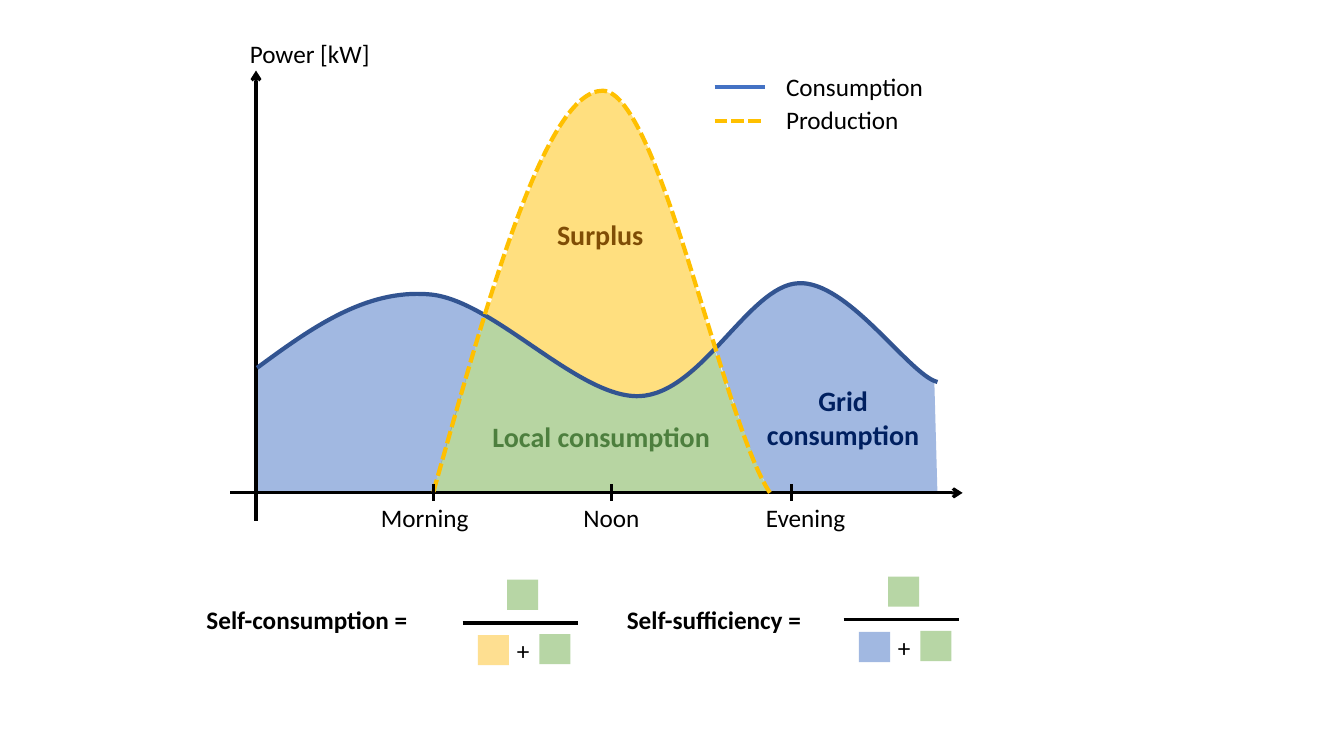
from dataclasses import dataclass

from lxml.etree import SubElement
from pptx import Presentation
from pptx.dml.color import RGBColor
from pptx.enum.dml import MSO_LINE_DASH_STYLE as Dash
from pptx.enum.shapes import MSO_CONNECTOR as Conn, MSO_SHAPE as Shape
from pptx.enum.text import MSO_ANCHOR as Anchor, PP_ALIGN as Align
from pptx.oxml.ns import qn
from pptx.util import Inches, Pt

# Grid: 13 1/3 columns by 7.5 rows, one inch each
COLS, ROWS = 40 / 3, 7.5
CELL = Inches(1)
STEPS = 24
FONT = "Calibri"

BLACK = RGBColor(0x00, 0x00, 0x00)
BLUE = RGBColor(0x44, 0x72, 0xC4)
DARK_BLUE = RGBColor(0x32, 0x54, 0x91)
NAVY = RGBColor(0x00, 0x20, 0x60)
GREEN = RGBColor(0x70, 0xAD, 0x47)
DARK_GREEN = RGBColor(0x4D, 0x7F, 0x3E)
GOLD = RGBColor(0xFF, 0xC0, 0x00)
BROWN = RGBColor(0x7F, 0x4D, 0x05)
PALE_GOLD = RGBColor(0xFE, 0xDF, 0x91)
PALE_GREEN = RGBColor(0xB7, 0xD6, 0xA5)
PALE_BLUE = RGBColor(0xA1, 0xB8, 0xE1)

Point = tuple[float, float]


@dataclass(frozen=True)
class Path:
    """Each segment holds one point (straight) or three (Bézier)."""
    start: Point
    segments: tuple[tuple[Point, ...], ...]
    color: RGBColor
    dash: bool = False


@dataclass(frozen=True)
class Line:
    start: Point
    end: Point
    color: RGBColor = BLACK
    width: float = 2.25
    dash: bool = False
    arrow: bool = False


@dataclass(frozen=True)
class Label:
    text: str
    x: float
    y: float
    w: float
    h: float = 0.4
    color: RGBColor = BLACK
    size: int = 18
    bold: bool = False
    wrap: bool = False
    align: Align = Align.LEFT
    anchor: Anchor = Anchor.TOP


@dataclass(frozen=True)
class Ratio:
    x: float
    y: float
    first: RGBColor


def emu(n: float) -> int:
    return round(n * CELL)


def bezier(points: tuple[Point, ...], t: float) -> Point:
    weights = ((1 - t) ** 3, 3 * t * (1 - t) ** 2, 3 * t * t * (1 - t), t ** 3)
    x, y = (sum(w * p[i] for w, p in zip(weights, points)) for i in (0, 1))
    return x, y


def flatten(path: Path) -> list[Point]:
    points = [path.start]
    for seg in path.segments:
        if len(seg) == 1:
            points.append(seg[0])
        else:
            ctrl = (points[-1], *seg)
            points += [bezier(ctrl, i / STEPS) for i in range(1, STEPS + 1)]
    return points


def style_line(line, color: RGBColor, width: float, dash: bool) -> None:
    line.color.rgb = color
    line.width = Pt(width)
    if dash:
        line.dash_style = Dash.SQUARE_DOT


def draw_path(s, path: Path, closed: bool):
    # Flattened points give the bounds; true Bézier segments give the outline
    start, *rest = [(emu(x), emu(y)) for x, y in flatten(path)]
    builder = s.shapes.build_freeform(*start, scale=1.0)
    builder.add_line_segments(rest, close=closed)
    sp = builder.convert_to_shape()
    sp.shadow.inherit = False
    outline = next(sp._element.iter(qn("a:path")))
    for child in list(outline):
        outline.remove(child)
    tags = {1: "a:lnTo", 3: "a:cubicBezTo"}
    steps = [("a:moveTo", (path.start,))]
    steps += [(tags[len(seg)], seg) for seg in path.segments]
    for tag, points in steps:
        step = SubElement(outline, qn(tag))
        for x, y in points:
            SubElement(step, qn("a:pt"),
                       x=str(emu(x) - sp.left), y=str(emu(y) - sp.top))
    if closed:
        SubElement(outline, qn("a:close"))
    return sp


def draw_area(s, path: Path) -> None:
    sp = draw_path(s, path, True)
    sp.fill.solid()
    sp.fill.fore_color.rgb = path.color
    rgb = sp._element.spPr.find(f"{qn('a:solidFill')}/{qn('a:srgbClr')}")
    SubElement(rgb, qn("a:alpha"), val="50000")
    sp.line.fill.background()


def draw_curve(s, path: Path) -> None:
    sp = draw_path(s, path, False)
    sp.fill.background()
    style_line(sp.line, path.color, 3, path.dash)


def draw_line(s, line: Line) -> None:
    ends = [emu(n) for n in (*line.start, *line.end)]
    sp = s.shapes.add_connector(Conn.STRAIGHT, *ends)
    style_line(sp.line, line.color, line.width, line.dash)
    if line.arrow:
        SubElement(sp.line._get_or_add_ln(), qn("a:headEnd"), type="arrow")
    SubElement(sp._element.spPr, qn("a:effectLst"))


def draw_label(s, label: Label) -> None:
    box = [emu(n) for n in (label.x, label.y, label.w, label.h)]
    tf = s.shapes.add_textbox(*box).text_frame
    tf.word_wrap = label.wrap
    tf.vertical_anchor = label.anchor
    p = tf.paragraphs[0]
    p.alignment = label.align
    r = p.add_run()
    r.text = label.text
    r.font.name, r.font.size, r.font.bold = FONT, Pt(label.size), label.bold
    r.font.color.rgb = label.color


def draw_square(s, x: float, y: float, color: RGBColor) -> None:
    sp = s.shapes.add_shape(Shape.RECTANGLE, emu(x), emu(y), emu(0.31), emu(0.3))
    sp.shadow.inherit = False
    sp.fill.solid()
    sp.fill.fore_color.rgb = color
    sp.line.fill.background()


def draw_ratio(s, ratio: Ratio) -> None:
    x, y = ratio.x, ratio.y
    draw_line(s, Line((x, y), (x + 1.14, y)))
    draw_square(s, x + 0.44, y - 0.43, PALE_GREEN)
    draw_square(s, x + 0.15, y + 0.12, ratio.first)
    draw_square(s, x + 0.76, y + 0.11, PALE_GREEN)
    draw_label(s, Label("+", x + 0.44, y + 0.07, 0.33))


BASE = 4.89
AREAS = (
    Path((2.52, 3.68), (((3.04, 3.27), (4.02, 2.55), (4.81, 3.13)),
                        ((4.29, 4.9),), ((2.55, BASE),), ((2.52, 3.68),)), BLUE),
    Path((7.09, 3.46), (((7.3, 3.24), (7.66, 2.8), (7.98, 2.79)),
                        ((8.38, 2.86), (8.95, 3.59), (9.27, 3.8)),
                        ((9.3, BASE),), ((7.64, BASE),),
                        ((7.4, 4.41), (7.27, 3.94), (7.09, 3.46))), BLUE),
    Path((4.81, 3.14), (((5.06, 3.29), (5.88, 3.91), (6.27, 3.94)),
                        ((6.64, 3.99), (6.93, 3.63), (7.09, 3.47)),
                        ((7.24, 3.93), (7.43, 4.43), (7.62, 4.87)),
                        ((4.3, BASE),),
                        ((4.44, 4.32), (4.64, 3.72), (4.81, 3.14))), GREEN),
    Path((5.43, 1.47), (((5.58, 1.23), (5.75, 0.9), (5.98, 0.9)),
                        ((6.24, 0.96), (6.33, 1.29), (6.44, 1.48)),
                        ((6.68, 2.15), (6.9, 2.81), (7.09, 3.47)),
                        ((6.87, 3.75), (6.57, 3.99), (6.2, 3.93)),
                        ((5.86, 3.84), (5.05, 3.29), (4.83, 3.13)),
                        ((5, 2.57), (5.19, 2.01), (5.43, 1.47))), GOLD),
)
AXES = (Line((2.54, 0.7), (2.54, 5.17), arrow=True),
        Line((9.55, BASE), (2.28, BASE), arrow=True))
CURVES = (
    Path((2.55, 3.65), (((3.08, 3.26), (3.62, 2.87), (4.25, 2.92)),
                        ((4.88, 2.96), (5.73, 3.95), (6.34, 3.93)),
                        ((6.96, 3.91), (7.43, 2.83), (7.92, 2.81)),
                        ((8.41, 2.78), (9.02, 3.72), (9.3, 3.79))), DARK_BLUE),
    Path((4.3, 4.88), (((4.86, 2.89), (5.42, 0.9), (5.98, 0.9)),
                       ((6.54, 0.91), (7.18, 4.22), (7.64, BASE))), GOLD, True),
)
TICKS = tuple(Line((x, 4.97), (x, 4.8)) for x in (4.3, 6.07, 7.85))
LEGEND = (Line((7.09, 0.86), (7.59, 0.86), BLUE, 3),
          Line((7.09, 1.2), (7.59, 1.2), GOLD, 3, True))
AREA_TEXT = dict(size=20, bold=True, wrap=True, align=Align.CENTER)
LABELS = (
    Label("Power [kW]", 2.38, 0.33, 1.4),
    *(Label(text, x, 4.93, w) for text, x, w in (
        ("Morning", 3.68, 1.08), ("Noon", 5.69, 0.76), ("Evening", 7.5, 1))),
    Label("Surplus", 5.28, 2.11, 1.35, 0.44, BROWN, **AREA_TEXT),
    Label("Grid consumption", 7.48, 3.85, 1.77, 0.58, NAVY,
          anchor=Anchor.MIDDLE, **AREA_TEXT),
    Label("Local consumption", 4.33, 3.99, 3.27, 0.67, DARK_GREEN,
          anchor=Anchor.MIDDLE, **AREA_TEXT),
    Label("Consumption", 7.7, 0.66, 1.6),
    Label("Production", 7.7, 0.99, 1.35),
    Label("Self-consumption =", 1.95, 5.95, 2.82, bold=True, wrap=True),
    Label("Self-sufficiency =", 6.12, 5.95, 1.95, bold=True),
)
RATIOS = (Ratio(4.59, 6.18, PALE_GOLD), Ratio(8.37, 6.15, PALE_BLUE))


def main() -> None:
    prs = Presentation()
    prs.slide_width, prs.slide_height = emu(COLS), emu(ROWS)
    s = prs.slides.add_slide(prs.slide_layouts[6])
    # Chart, then its legend and labels, then the two ratios
    for draw, items in ((draw_area, AREAS), (draw_line, AXES),
                        (draw_curve, CURVES), (draw_line, TICKS + LEGEND),
                        (draw_label, LABELS), (draw_ratio, RATIOS)):
        for item in items:
            draw(s, item)
    prs.save("out.pptx")


if __name__ == "__main__":
    main()
